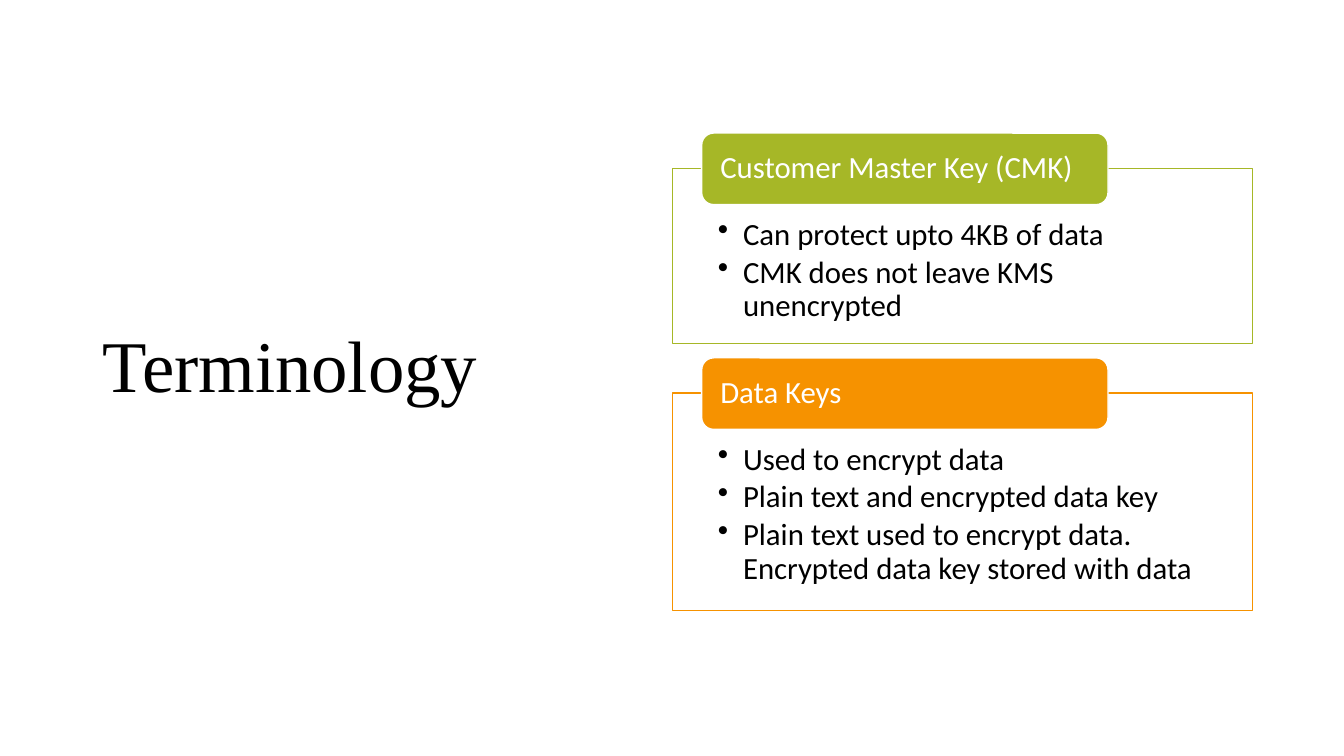
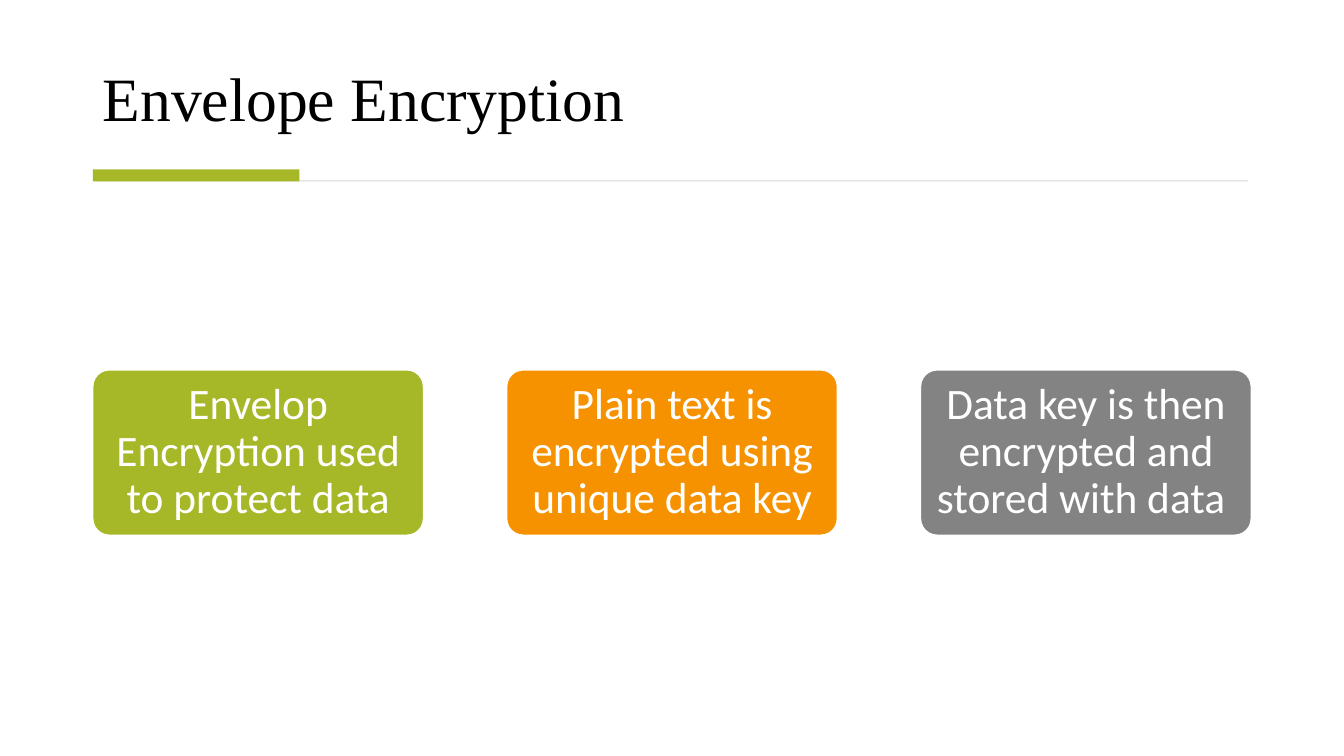
from dataclasses import dataclass

from lxml import etree
from pptx import Presentation
from pptx.dml.color import RGBColor
from pptx.enum.shapes import MSO_SHAPE
from pptx.enum.text import MSO_ANCHOR, PP_ALIGN
from pptx.oxml.ns import qn
from pptx.util import Inches, Pt

RECT, ROUNDED = MSO_SHAPE.RECTANGLE, MSO_SHAPE.ROUNDED_RECTANGLE
TOP, MIDDLE, BOTTOM = MSO_ANCHOR.TOP, MSO_ANCHOR.MIDDLE, MSO_ANCHOR.BOTTOM
LEFT, CENTER = PP_ALIGN.LEFT, PP_ALIGN.CENTER

COLORS = {
    "green": "A6B727",
    "orange": "F69200",
    "gray": "838383",
    "rule": "D5D5D5",
    "white": "FFFFFF",
    "black": "000000",
}
TITLE_FONT, BODY_FONT = "Times New Roman", "Calibri"
MARGIN = 0.92
CONTENT_WIDTH = 11.49


@dataclass(frozen=True)
class Box:
    left: float
    top: float
    width: float
    height: float

    def lengths(self):
        return [Inches(v) for v in (self.left, self.top, self.width, self.height)]


@dataclass(frozen=True)
class Term:
    name: str
    points: tuple[str, ...]
    color: str
    height: float


@dataclass(frozen=True)
class Step:
    text: str
    color: str


TERMS = (
    Term("Customer Master Key (CMK)",
         ("Can protect upto 4KB of data", "CMK does not leave KMS unencrypted"),
         "green", 1.74),
    Term("Data Keys",
         ("Used to encrypt data", "Plain text and encrypted data key",
          "Plain text used to encrypt data. Encrypted data key stored with data"),
         "orange", 2.16),
)
STEPS = (
    Step("Envelop Encryption used to protect data", "green"),
    Step("Plain text is encrypted using unique data key", "orange"),
    Step("Data key is then encrypted and stored with data ", "gray"),
)


def rgb(name: str) -> RGBColor:
    return RGBColor.from_string(COLORS[name])


def add_block(slide, kind, box: Box, fill: str, line: str | None = None):
    block = slide.shapes.add_shape(kind, *box.lengths())
    block.shadow.inherit = False
    block.fill.solid()
    block.fill.fore_color.rgb = rgb(fill)
    if line:
        block.line.color.rgb = rgb(line)
        block.line.width = Pt(1)
    else:
        block.line.fill.background()
    return block


def add_bullet(paragraph) -> None:
    properties = paragraph._p.get_or_add_pPr()
    properties.set("marL", str(Inches(0.25)))
    properties.set("indent", str(Inches(-0.25)))
    etree.SubElement(properties, qn("a:buChar")).set("char", "•")


def write(shape, *lines: str, size: float, color: str, font: str = BODY_FONT,
          align=LEFT, anchor=MIDDLE, insets=(0.1, 0.05, 0.1, 0.05),
          bullets: bool = False, after: float = 0) -> None:
    frame = shape.text_frame
    frame.word_wrap = True
    frame.vertical_anchor = anchor
    (frame.margin_left, frame.margin_top,
     frame.margin_right, frame.margin_bottom) = map(Inches, insets)
    for index, line in enumerate(lines):
        paragraph = frame.add_paragraph() if index else frame.paragraphs[0]
        paragraph.alignment = align
        paragraph.line_spacing = 0.9
        paragraph.space_after = Pt(after)
        if bullets:
            add_bullet(paragraph)
        run = paragraph.add_run()
        run.text = line
        run.font.name = font
        run.font.size = Pt(size)
        run.font.color.rgb = rgb(color)


def add_title(slide, text: str, box: Box, size: float, anchor) -> None:
    title = slide.shapes.add_textbox(*box.lengths())
    write(title, text, size=size, color="black", font=TITLE_FONT, anchor=anchor)


def add_term(slide, term: Term, top: float) -> None:
    panel = add_block(slide, RECT, Box(6.67, top, 5.75, term.height),
                      "white", term.color)
    write(panel, *term.points, size=22, color="black", anchor=TOP,
          insets=(0.45, 0.5, 0.45, 0.17), bullets=True, after=3.3)
    label = add_block(slide, ROUNDED, Box(6.96, top - 0.35, 4.03, 0.71),
                      term.color, "white")
    write(label, term.name, size=22, color="white", insets=(0.15, 0, 0.15, 0))


def add_step(slide, step: Step, box: Box) -> None:
    card = add_block(slide, ROUNDED, box, step.color, "white")
    card.adjustments[0] = 0.1
    write(card, step.text, size=31, color="white", align=CENTER,
          insets=(0.06, 0.04, 0.06, 0.04))


def build_terminology(slide) -> None:
    add_title(slide, "Terminology", Box(MARGIN, 0.61, 5.32, 6.09), 52, MIDDLE)
    top, gap = 1.67, 0.49
    for term in TERMS:
        add_term(slide, term, top)
        top += term.height + gap


def build_envelope(slide) -> None:
    add_title(slide, "Envelope Encryption",
              Box(MARGIN, 0.28, CONTENT_WIDTH, 1.11), 44, BOTTOM)
    add_block(slide, RECT, Box(0.95, 1.79, 11.43, 0.01), "rule")
    add_block(slide, RECT, Box(MARGIN, 1.68, 2.05, 0.12), "green")
    width = 3.28
    pitch = (CONTENT_WIDTH - width) / (len(STEPS) - 1)
    for index, step in enumerate(STEPS):
        add_step(slide, step, Box(MARGIN + index * pitch, 3.67, width, 1.64))


def main() -> None:
    deck = Presentation()
    deck.slide_width, deck.slide_height = Inches(13.33), Inches(7.5)
    blank = deck.slide_layouts[6]
    for build in (build_terminology, build_envelope):
        slide = deck.slides.add_slide(blank)
        slide.background.fill.solid()
        slide.background.fill.fore_color.rgb = rgb("white")
        build(slide)
    deck.save("out.pptx")


if __name__ == "__main__":
    main()
